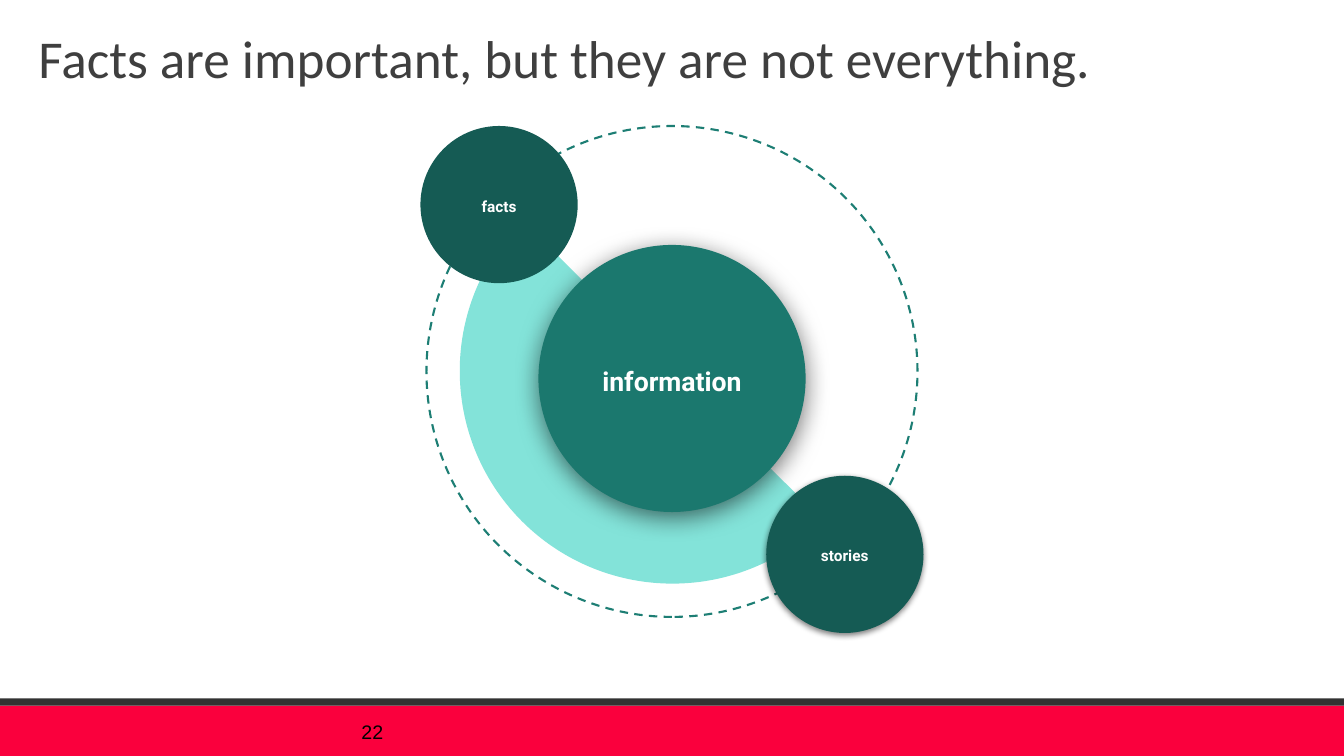
from dataclasses import dataclass

from lxml import etree
from pptx import Presentation
from pptx.dml.color import RGBColor
from pptx.enum.dml import MSO_LINE
from pptx.enum.shapes import MSO_SHAPE
from pptx.enum.text import MSO_ANCHOR, PP_ALIGN
from pptx.oxml.ns import qn
from pptx.util import Inches, Pt

RECTANGLE, OVAL, PIE = MSO_SHAPE.RECTANGLE, MSO_SHAPE.OVAL, MSO_SHAPE.PIE
DASH = MSO_LINE.DASH
LEFT, CENTER, RIGHT = PP_ALIGN.LEFT, PP_ALIGN.CENTER, PP_ALIGN.RIGHT
MIDDLE, BOTTOM = MSO_ANCHOR.MIDDLE, MSO_ANCHOR.BOTTOM
TITLE_ONLY = 5


@dataclass(frozen=True)
class Theme:
    red: str = "FA003D"
    charcoal: str = "323232"
    title_gray: str = "3F3F3F"
    black: str = "000000"
    white: str = "FFFFFF"
    ring: str = "1D7E74"
    mint: str = "83E3D9"
    teal: str = "1B786E"
    dark_teal: str = "155B54"
    title_font: str = "Calibri"
    label_font: str = "Roboto"
    number_font: str = "Arial"
    title_size: float = 38
    center_size: float = 19
    satellite_size: float = 11
    number_size: float = 14


def write_text(shape, text, *, font, size, color, bold=False, align=LEFT,
               anchor=MIDDLE, spacing=1.0, inset=(0.1, 0.05)):
    frame = shape.text_frame
    frame.word_wrap = True
    frame.vertical_anchor = anchor
    frame.margin_left = frame.margin_right = Inches(inset[0])
    frame.margin_top = frame.margin_bottom = Inches(inset[1])
    para = frame.paragraphs[0]
    para.alignment = align
    para.line_spacing = spacing
    span = para.add_run()
    span.text = text
    span.font.name = font
    span.font.size = Pt(size)
    span.font.bold = bold
    span.font.color.rgb = RGBColor.from_string(color)


class SlideBuilder:
    def __init__(self, page, theme):
        self.page = page
        self.theme = theme

    def title(self, text, left, top, width, height):
        box = self.page.shapes.title
        box.left, box.top = Inches(left), Inches(top)
        box.width, box.height = Inches(width), Inches(height)
        write_text(box, text, font=self.theme.title_font, size=self.theme.title_size,
                   color=self.theme.title_gray, anchor=BOTTOM, spacing=0.85)

    def page_number(self, text, left, top, width, height):
        box = self.page.shapes.add_textbox(
            Inches(left), Inches(top), Inches(width), Inches(height))
        write_text(box, text, font=self.theme.number_font, size=self.theme.number_size,
                   color=self.theme.black, align=RIGHT)

    def shape(self, kind, left, top, width, height, fill=None):
        shape = self.page.shapes.add_shape(
            kind, Inches(left), Inches(top), Inches(width), Inches(height))
        shape.shadow.inherit = False
        shape.line.fill.background()
        if fill:
            shape.fill.solid()
            shape.fill.fore_color.rgb = RGBColor.from_string(fill)
        else:
            shape.fill.background()
        return shape

    def dashed_ring(self, left, top, diameter):
        ring = self.shape(OVAL, left, top, diameter, diameter)
        ring.rotation = 270
        ring.line.color.rgb = RGBColor.from_string(self.theme.ring)
        ring.line.width = Pt(1.5)
        ring.line.dash_style = DASH

    def sector(self, left, top, diameter, start, end):
        pie = self.shape(PIE, left, top, diameter, diameter, self.theme.mint)
        # Angles are stored in 60000ths of a degree, adjustments in 100000ths
        for index, degrees in enumerate((start, end)):
            pie.adjustments[index] = degrees * 0.6

    def labeled_circle(self, text, left, top, diameter, fill, size, shadow=None):
        circle = self.shape(OVAL, left, top, diameter, diameter, fill)
        write_text(circle, text, font=self.theme.label_font, size=size,
                   color=self.theme.white, bold=True, align=CENTER,
                   spacing=1.15, inset=(0.13, 0.13))
        if shadow:
            self.drop_shadow(circle, *shadow)

    def drop_shadow(self, shape, opacity, blur, distance):
        effects = shape._element.spPr.find(qn("a:effectLst"))
        outer = etree.SubElement(
            effects, qn("a:outerShdw"), blurRad=str(Pt(blur)), dist=str(Pt(distance)),
            dir="5400000", algn="ctr", rotWithShape="0")
        color = etree.SubElement(outer, qn("a:srgbClr"), val=self.theme.black)
        etree.SubElement(color, qn("a:alpha"), val=str(opacity * 1000))


def main():
    deck = Presentation()
    deck.slide_width, deck.slide_height = Inches(13.33), Inches(7.5)
    page = deck.slides.add_slide(deck.slide_layouts[TITLE_ONLY])
    theme = Theme()
    builder = SlideBuilder(page, theme)

    # Footer band, title and page number
    builder.shape(RECTANGLE, 0, 7, 13.33, 0.5, theme.red)
    builder.shape(RECTANGLE, 0, 6.93, 13.33, 0.07, theme.charcoal)
    builder.title("Facts are important, but they are not everything.",
                  0.28, 0.22, 11, 0.72)
    builder.page_number("22", 1.2, 7.06, 2.7, 0.4)

    # Orbit behind the circles
    builder.dashed_ring(4.23, 1.25, 4.87)
    builder.sector(4.56, 1.57, 4.22, start=44.83, end=225.18)

    # Center and its two satellites
    builder.labeled_circle("information", 5.34, 2.43, 2.65, theme.teal,
                           theme.center_size, shadow=(55, 18, 4))
    for text, left, top, shadow in (("facts", 4.17, 1.25, None),
                                    ("stories", 7.6, 4.72, (50, 4.5, 1.5))):
        builder.labeled_circle(text, left, top, 1.56, theme.dark_teal,
                               theme.satellite_size, shadow)

    deck.save("out.pptx")


if __name__ == "__main__":
    main()
